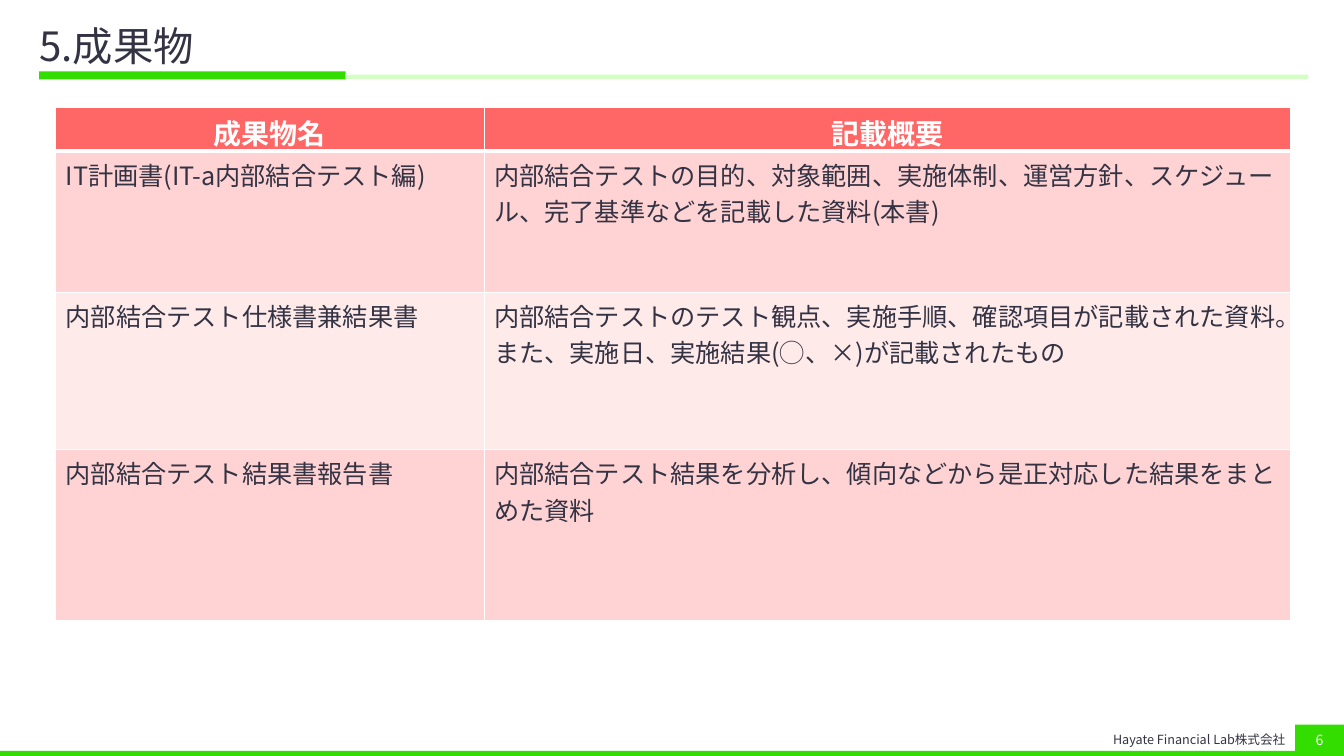
import pptx
import pptx.dml.color
import pptx.enum.lang
import pptx.enum.shapes
import pptx.enum.text
import pptx.oxml
import pptx.oxml.ns
import pptx.util

Cm = pptx.util.Cm
Pt = pptx.util.Pt
ALIGN = pptx.enum.text.PP_ALIGN
ANCHOR = pptx.enum.text.MSO_ANCHOR

FONT = "Noto Sans CJK JP"
COLOURS = {
    "ink": "333344", "white": "FFFFFF", "green": "33DD00", "pale green": "D3FFC5",
    "header": "FF6666", "odd row": "FFD3D3", "even row": "FFEAEA",
}
TITLE = "5.成果物"
FOOTER = "Hayate Financial Lab株式会社"
PAGE_NUMBER = "6"
DELIVERABLES = [
    ("成果物名", "記載概要"),
    ("IT計画書(IT-a内部結合テスト編)",
     "内部結合テストの目的、対象範囲、実施体制、運営方針、スケジュール、完了基準などを記載した資料(本書)"),
    ("内部結合テスト仕様書兼結果書",
     "内部結合テストのテスト観点、実施手順、確認項目が記載された資料。"
     "また、実施日、実施結果(◯、×)が記載されたもの"),
    ("内部結合テスト結果書報告書",
     "内部結合テスト結果を分析し、傾向などから是正対応した結果をまとめた資料"),
]

# Lengths in centimetres: left, top, width, height
PAGE_SIZE = (33.87, 19.05)
BARS = [
    ((0.99, 1.8, 7.72, 0.2), "green"),
    ((8.71, 1.88, 24.26, 0.11), "pale green"),
    ((0, 18.92, 33.87, 0.13), "green"),
]
TITLE_AREA = (0.99, 0.51, 32, 1.42)
FOOTER_AREA = (27.58, 18.29, 5.06, 0.69)
NUMBER_AREA = (32.64, 18.26, 1.23, 0.79)
TABLE_CORNER = (1.4, 2.7)
COLUMN_WIDTHS = (10.8, 20.32)
ROW_HEIGHTS = (1.09, 3.56, 3.96, 4.32)

TITLE_FORMAT = {"size": Pt(28.8), "bold": False}
FOOTER_FORMAT = {"size": Pt(9), "bold": False}
NUMBER_FORMAT = {"size": Pt(10), "bold": False}
HEADER_FORMAT = {"size": Pt(20), "bold": True}
BODY_FORMAT = {"size": Pt(18), "bold": False}


def rgb(name):
    return pptx.dml.color.RGBColor.from_string(COLOURS[name])


def lengths(values):
    return [Cm(value) for value in values]


def write(frame, text, formats, colour, align=ALIGN.LEFT):
    """Fill a text frame with one paragraph and return it."""
    para = frame.paragraphs[0]
    para.alignment = align
    span = para.add_run()
    span.text = text
    span.font.name = FONT
    span.font.language_id = pptx.enum.lang.MSO_LANGUAGE_ID.JAPANESE
    span.font.color.rgb = rgb(colour)
    for name, value in formats.items():
        setattr(span.font, name, value)
    span._r.get_or_add_rPr().append(pptx.oxml.parse_xml(
        f'<a:ea {pptx.oxml.ns.nsdecls("a")} typeface="{FONT}"/>'))
    return para


def add_bar(page, area, colour):
    bar = page.shapes.add_shape(
        pptx.enum.shapes.MSO_SHAPE.RECTANGLE, *lengths(area))
    bar.shadow.inherit = False
    bar.fill.solid()
    bar.fill.fore_color.rgb = rgb(colour)
    bar.line.fill.background()
    return bar


def add_borders(cell, widths):
    """Draw white borders; widths maps each side (L, R, T, B) to points."""
    properties = cell._tc.get_or_add_tcPr()
    for side, width in widths.items():
        properties.append(pptx.oxml.parse_xml(
            f'<a:ln{side} {pptx.oxml.ns.nsdecls("a")} w="{int(Pt(width))}">'
            f'<a:solidFill><a:srgbClr val="{COLOURS["white"]}"/></a:solidFill>'
            f'</a:ln{side}>'))


def add_title(page):
    title = page.shapes.title
    title.left, title.top, title.width, title.height = lengths(TITLE_AREA)
    settings = {
        "margin_left": 0, "margin_right": Cm(0.41),
        "margin_top": Cm(0.13), "margin_bottom": Cm(0.13),
        "vertical_anchor": ANCHOR.MIDDLE, "word_wrap": True,
        "auto_size": pptx.enum.text.MSO_AUTO_SIZE.NONE,
    }
    for name, value in settings.items():
        setattr(title.text_frame, name, value)
    write(title.text_frame, TITLE, TITLE_FORMAT, "ink").line_spacing = 0.9


def add_footer(page):
    box = page.shapes.add_textbox(*lengths(FOOTER_AREA))
    box.text_frame.word_wrap = True
    box.text_frame.vertical_anchor = ANCHOR.MIDDLE
    write(box.text_frame, FOOTER, FOOTER_FORMAT, "ink", ALIGN.RIGHT)
    badge = add_bar(page, NUMBER_AREA, "green")
    badge.text_frame.vertical_anchor = ANCHOR.MIDDLE
    write(badge.text_frame, PAGE_NUMBER, NUMBER_FORMAT, "white", ALIGN.CENTER)


def add_deliverables(page):
    size = (sum(COLUMN_WIDTHS), sum(ROW_HEIGHTS))
    table = page.shapes.add_table(
        len(ROW_HEIGHTS), len(COLUMN_WIDTHS), *lengths(TABLE_CORNER + size)).table
    for column, width in zip(table.columns, COLUMN_WIDTHS):
        column.width = Cm(width)
    for row, height in zip(table.rows, ROW_HEIGHTS):
        row.height = Cm(height)
    for r, texts in enumerate(DELIVERABLES):
        for c, text in enumerate(texts):
            cell = table.cell(r, c)
            add_borders(cell, {"L": 1, "R": 1, "T": 3 if r == 1 else 1,
                               "B": 3 if r == 0 else 1})
            cell.fill.solid()
            if r == 0:
                fill = "header"
                cell.vertical_anchor = ANCHOR.MIDDLE
                write(cell.text_frame, text, HEADER_FORMAT, "white", ALIGN.CENTER)
            else:
                fill = "odd row" if r % 2 else "even row"
                write(cell.text_frame, text, BODY_FORMAT, "ink")
            cell.fill.fore_color.rgb = rgb(fill)


def main():
    deck = pptx.Presentation()
    deck.slide_width, deck.slide_height = lengths(PAGE_SIZE)
    page = deck.slides.add_slide(deck.slide_layouts.get_by_name("Title Only"))
    for area, colour in BARS:
        add_bar(page, area, colour)
    add_title(page)
    add_footer(page)
    add_deliverables(page)
    deck.save("out.pptx")


if __name__ == "__main__":
    main()
